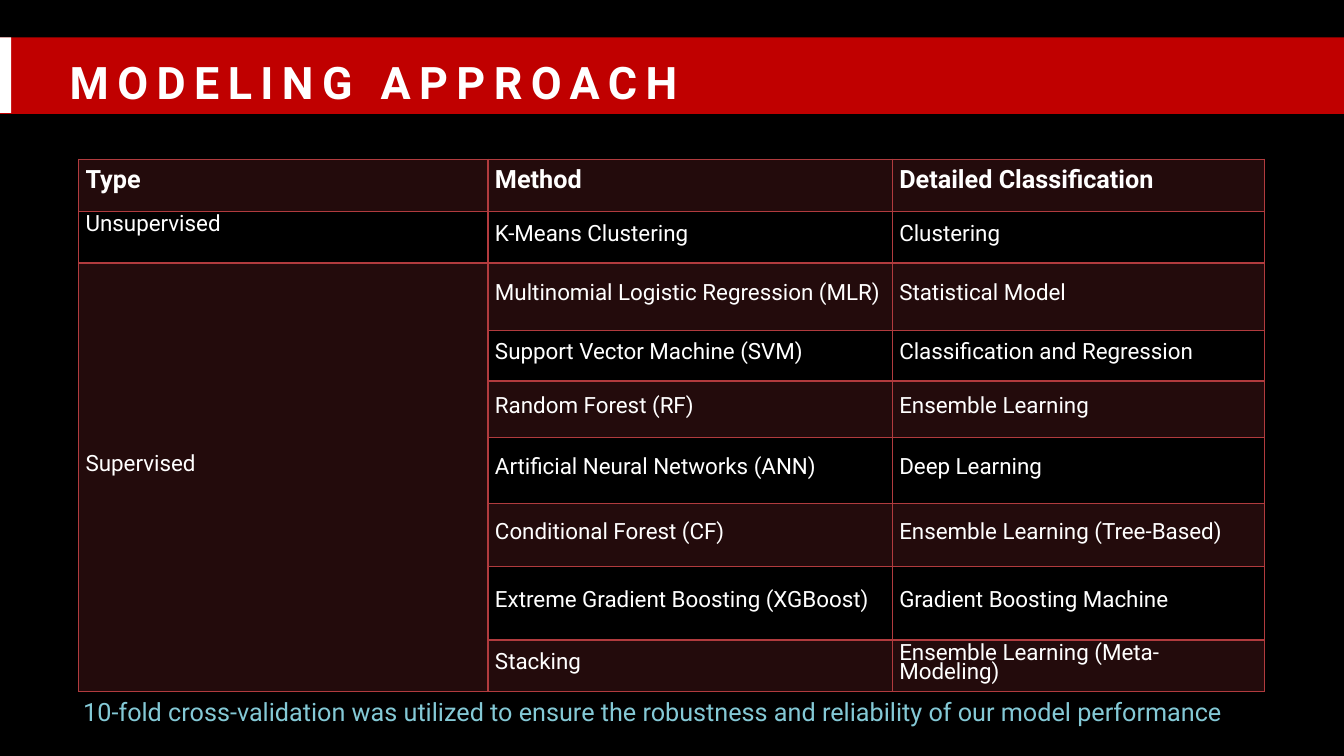
"""Build the modeling approach slide with its table of methods."""
from lxml import etree
from pptx import Presentation
from pptx.dml.color import RGBColor
from pptx.enum.shapes import MSO_SHAPE
from pptx.enum.text import MSO_ANCHOR, MSO_AUTO_SIZE, PP_ALIGN
from pptx.oxml.ns import qn
from pptx.util import Inches, Pt

RECTANGLE = MSO_SHAPE.RECTANGLE
MIDDLE, BOTTOM = MSO_ANCHOR.MIDDLE, MSO_ANCHOR.BOTTOM
LEFT, CENTER = PP_ALIGN.LEFT, PP_ALIGN.CENTER
NO_AUTOFIT = MSO_AUTO_SIZE.NONE

BLACK = RGBColor(0x00, 0x00, 0x00)
WHITE = RGBColor(0xFF, 0xFF, 0xFF)
RED = RGBColor(0xC0, 0x00, 0x00)
TABLE_RED = RGBColor(0xB1, 0x3B, 0x3E)
LIGHT_BLUE = RGBColor(0x84, 0xC9, 0xD6)

COLUMN_WIDTHS = [4.06, 4.01, 3.69]
ROW_HEIGHTS = [0.52, 0.51, 0.67, 0.5, 0.56, 0.66, 0.62, 0.73, 0.51]
ROWS = [
    ("Type", "Method", "Detailed Classification"),
    ("Unsupervised", "K-Means Clustering", "Clustering"),
    ("Supervised", "Multinomial Logistic Regression (MLR)", "Statistical Model"),
    ("", "Support Vector Machine (SVM)", "Classification and Regression"),
    ("", "Random Forest (RF)", "Ensemble Learning"),
    ("", "Artificial Neural Networks (ANN)", "Deep Learning"),
    ("", "Conditional Forest (CF)", "Ensemble Learning (Tree-Based)"),
    ("", "Extreme Gradient Boosting (XGBoost)", "Gradient Boosting Machine"),
    ("", "Stacking", "Ensemble Learning (Meta-Modeling)"),
]


def write_text(text_frame, text, size, color=WHITE, bold=False, align=LEFT,
               line_spacing=None, tracking=0):
    """Fill the first paragraph of a text frame with one formatted run."""
    paragraph = text_frame.paragraphs[0]
    paragraph.alignment = align
    paragraph.line_spacing = line_spacing
    run = paragraph.add_run()
    run.text = text
    run.font.name = "Roboto"
    run.font.size = Pt(size)
    run.font.bold = bold
    run.font.color.rgb = color
    if tracking:
        run._r.get_or_add_rPr().set("spc", str(tracking * 100))


def style_cell(cell, shaded):
    """Give a cell red borders and a translucent red or empty fill."""
    properties = cell._tc.get_or_add_tcPr()
    for side in ("a:lnL", "a:lnR", "a:lnT", "a:lnB"):
        line = etree.SubElement(properties, qn(side), w=str(Pt(1)))
        solid = etree.SubElement(line, qn("a:solidFill"))
        etree.SubElement(solid, qn("a:srgbClr"), val=str(TABLE_RED))
    if shaded:
        cell.fill.solid()
        cell.fill.fore_color.rgb = TABLE_RED
        color = properties.find(qn("a:solidFill")).find(qn("a:srgbClr"))
        etree.SubElement(color, qn("a:alpha"), val="20000")
    else:
        cell.fill.background()


presentation = Presentation()
presentation.slide_width = Inches(13.33)
presentation.slide_height = Inches(7.5)
slide = presentation.slides.add_slide(presentation.slide_layouts[5])
slide.background.fill.solid()
slide.background.fill.fore_color.rgb = BLACK

for width, height, color in [(13.35, 0.76, RED), (0.12, 0.75, WHITE)]:
    bar = slide.shapes.add_shape(
        RECTANGLE, Inches(-0.01), Inches(0.37), Inches(width), Inches(height))
    bar.shadow.inherit = False
    bar.fill.solid()
    bar.fill.fore_color.rgb = color
    bar.line.fill.background()

title = slide.shapes.title
title.left, title.top = Inches(0.59), Inches(0.19)
title.width, title.height = Inches(10.1), Inches(0.94)
title.text_frame.auto_size = NO_AUTOFIT
title.text_frame.vertical_anchor = BOTTOM
write_text(title.text_frame, "MODELING APPROACH", 32, bold=True,
           line_spacing=1.2, tracking=6)
slide.shapes._spTree.append(title._element)

table = slide.shapes.add_table(
    len(ROWS), len(COLUMN_WIDTHS), Inches(0.78), Inches(1.58),
    Inches(sum(COLUMN_WIDTHS)), Inches(sum(ROW_HEIGHTS))).table
table.first_row = False
table.horz_banding = False
for column, width in zip(table.columns, COLUMN_WIDTHS):
    column.width = Inches(width)
for row, height in zip(table.rows, ROW_HEIGHTS):
    row.height = Inches(height)
table.cell(2, 0).merge(table.cell(len(ROWS) - 1, 0))

for row_index, texts in enumerate(ROWS):
    is_header = row_index == 0
    for column_index, text in enumerate(texts):
        cell = table.cell(row_index, column_index)
        is_group = column_index == 0 and not is_header
        style_cell(cell, shaded=row_index % 2 == 0)
        cell.vertical_anchor = MIDDLE
        cell.margin_left = cell.margin_right = Inches(0.07)
        cell.margin_top = Inches(0.05)
        cell.margin_bottom = Inches(0.24 if is_group else 0.05)
        if text:
            write_text(cell.text_frame, text, 18 if is_header else 16,
                       bold=is_header, line_spacing=Pt(13.5))

note = slide.shapes.add_textbox(
    Inches(0.59), Inches(6.86), Inches(11.77), Inches(0.39))
note.text_frame.word_wrap = True
write_text(
    note.text_frame,
    "10-fold cross-validation was utilized to ensure the robustness and "
    "reliability of our model performance",
    18, color=LIGHT_BLUE, align=CENTER)

presentation.save("out.pptx")
